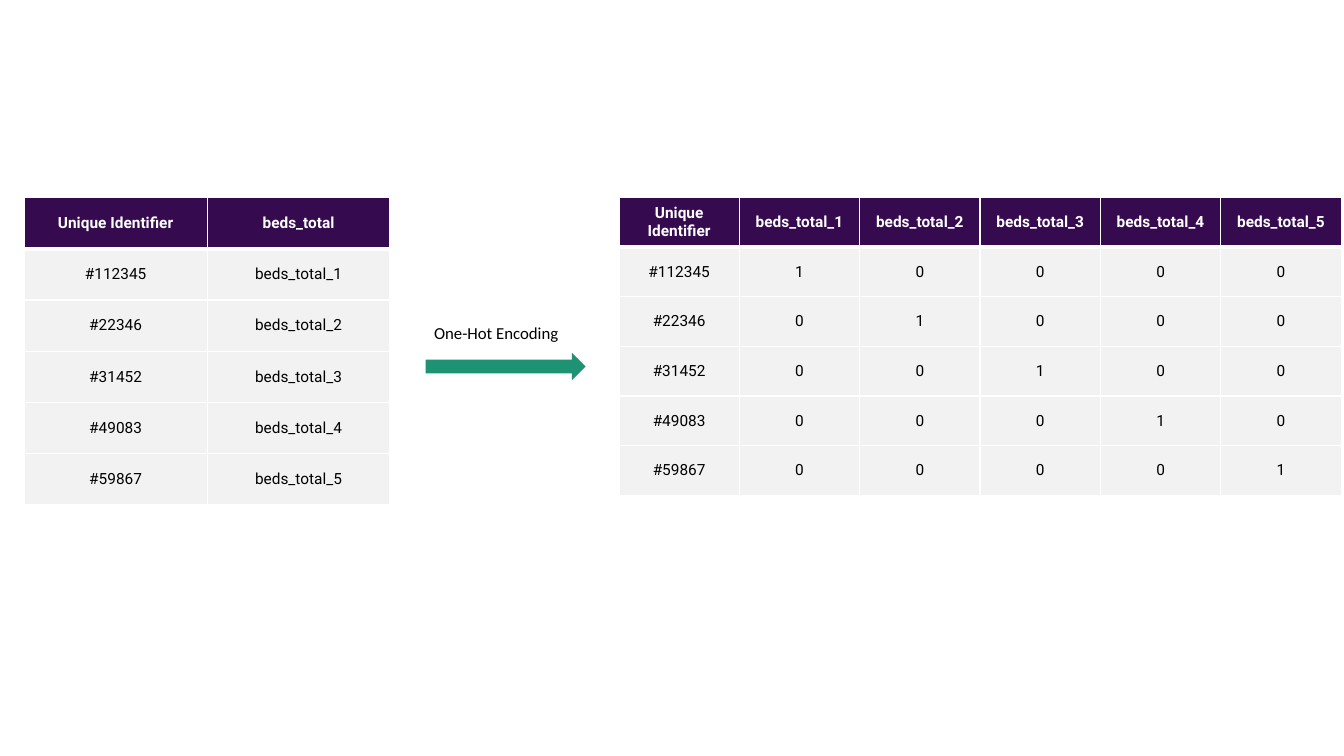
from lxml.etree import SubElement
from pptx import Presentation
from pptx.dml.color import RGBColor
from pptx.enum.shapes import MSO_SHAPE as Preset
from pptx.enum.text import MSO_ANCHOR as Anchor, MSO_AUTO_SIZE as AutoSize, PP_ALIGN as Align
from pptx.oxml.ns import qn
from pptx.util import Cm, Pt

PURPLE, GREY, GREEN = "360A4F", "F2F2F2", "1E9374"
WHITE, BLACK = "FFFFFF", "000000"

HEADER = {"name": "Roboto", "size": Pt(11), "bold": True}
BODY = {"name": "Roboto", "size": Pt(11), "bold": False}
LABEL = {"name": "Calibri", "size": Pt(12)}

IDENTIFIERS = ["#112345", "#22346", "#31452", "#49083", "#59867"]
CATEGORIES = [f"beds_total_{number}" for number in range(1, 6)]


def paint(color_format, color):
    color_format.rgb = RGBColor.from_string(color)


def fill_solid(target, color):
    target.fill.solid()
    paint(target.fill.fore_color, color)


def write(paragraph, text, font_values, color):
    run = paragraph.add_run()
    run.text = text
    for name, value in font_values.items():
        setattr(run.font, name, value)
    paint(run.font.color, color)


def add_borders(cell, bottom_width):
    properties = cell._tc.get_or_add_tcPr()
    widths = {"lnL": 1, "lnR": 1, "lnT": 1, "lnB": bottom_width}
    for side, width in widths.items():
        line = SubElement(properties, qn(f"a:{side}"), w=str(Pt(width)))
        solid = SubElement(line, qn("a:solidFill"))
        SubElement(solid, qn("a:srgbClr"), val=WHITE)


def add_data_table(slide, left, top, width, height, rows):
    shape = slide.shapes.add_table(len(rows), len(rows[0]), left, top, width, height)
    table = shape.table
    table.horz_banding = False
    for row_index, row in enumerate(rows):
        is_header = row_index == 0
        for column_index, text in enumerate(row):
            cell = table.cell(row_index, column_index)
            add_borders(cell, 3 if is_header else 1)
            fill_solid(cell, PURPLE if is_header else GREY)
            cell.vertical_anchor = Anchor.MIDDLE
            paragraph = cell.text_frame.paragraphs[0]
            paragraph.alignment = Align.CENTER
            write(paragraph, text, HEADER if is_header else BODY,
                  WHITE if is_header else BLACK)


def add_arrow(slide, left, top, width, height):
    arrow = slide.shapes.add_shape(Preset.DOWN_ARROW, left, top, width, height)
    arrow.rotation = 270
    arrow.shadow.inherit = False
    fill_solid(arrow, GREEN)
    arrow.line.fill.background()


def add_label(slide, left, top, width, height, text):
    frame = slide.shapes.add_textbox(left, top, width, height).text_frame
    frame.word_wrap = False
    frame.auto_size = AutoSize.SHAPE_TO_FIT_TEXT
    write(frame.paragraphs[0], text, LABEL, BLACK)


def main():
    presentation = Presentation()
    presentation.slide_width, presentation.slide_height = Cm(33.87), Cm(19.05)
    slide = presentation.slides.add_slide(presentation.slide_layouts[6])

    # Categorical table
    category_rows = [["Unique Identifier", "beds_total"]]
    category_rows += [list(pair) for pair in zip(IDENTIFIERS, CATEGORIES)]
    add_data_table(slide, Cm(0.61), Cm(4.98), Cm(9.22), Cm(7.74), category_rows)

    # One-hot table: a one on the diagonal
    encoded_rows = [["Unique Identifier"] + CATEGORIES]
    for index, identifier in enumerate(IDENTIFIERS):
        flags = [str(int(index == column)) for column in range(len(CATEGORIES))]
        encoded_rows.append([identifier] + flags)
    add_data_table(slide, Cm(15.6), Cm(4.98), Cm(18.2), Cm(7.5), encoded_rows)

    # Encoding step
    add_arrow(slide, Cm(12.4), Cm(7.22), Cm(0.69), Cm(4.03))
    add_label(slide, Cm(10.69), Cm(8), Cm(3.68), Cm(0.77), "One-Hot Encoding")

    presentation.save("out.pptx")


if __name__ == "__main__":
    main()
